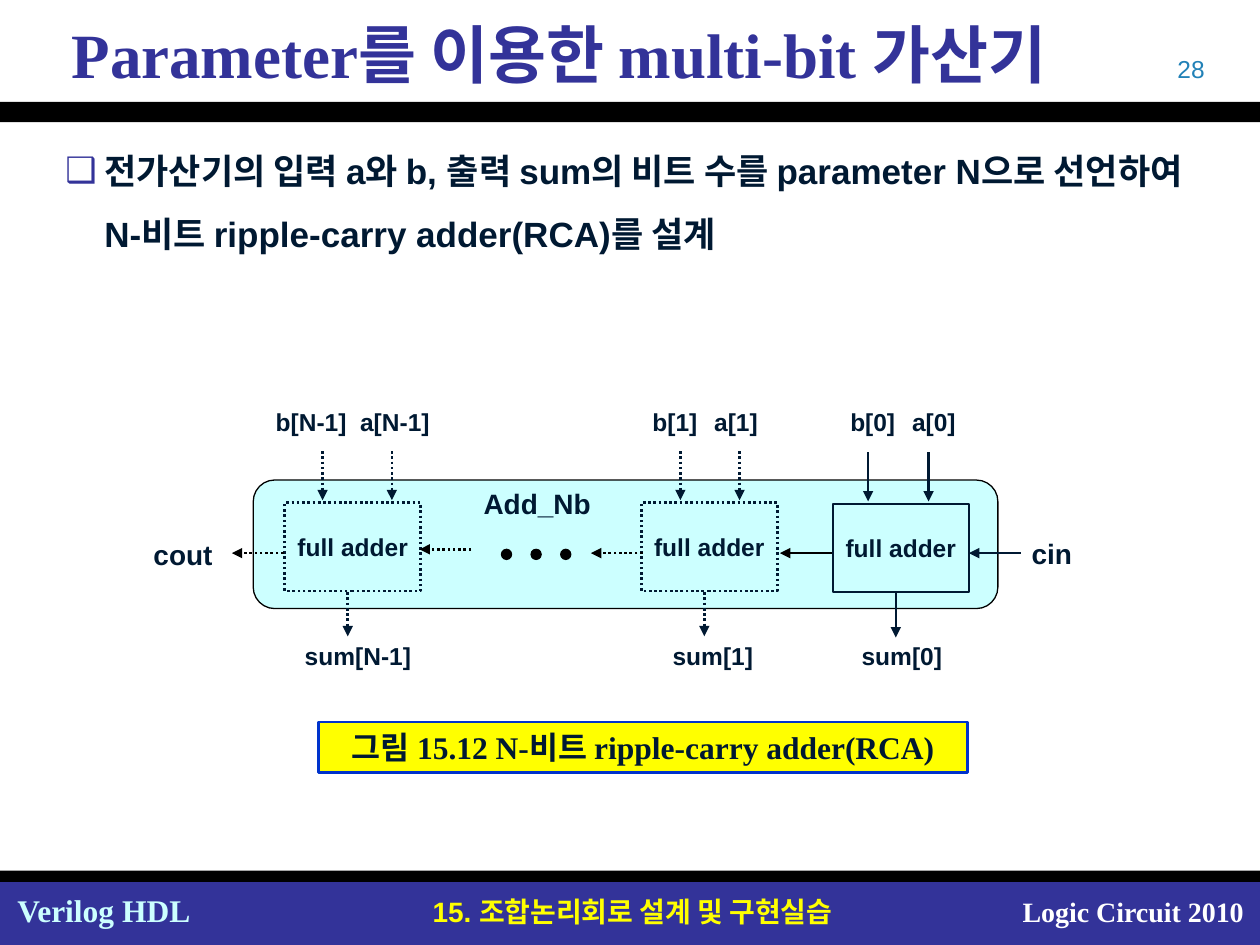
import pptx
import pptx.util
import pptx.dml.color
import pptx.enum.dml
import pptx.enum.shapes
import pptx.enum.text
import pptx.oxml
import pptx.oxml.ns

Inches = pptx.util.Inches
RGBColor = pptx.dml.color.RGBColor
SHAPE = pptx.enum.shapes.MSO_SHAPE
ALIGN = pptx.enum.text.PP_ALIGN
ANCHOR = pptx.enum.text.MSO_ANCHOR
DOTTED = pptx.enum.dml.MSO_LINE.ROUND_DOT

INDIGO = RGBColor(0x33, 0x33, 0x99)
NAVY = RGBColor(0x00, 0x19, 0x32)
BLACK = RGBColor(0, 0, 0)
WHITE = RGBColor(0xFF, 0xFF, 0xFF)
YELLOW = RGBColor(0xFF, 0xFF, 0)
PALE_CYAN = RGBColor(0xCC, 0xFF, 0xFF)
PAGE_BLUE = RGBColor(0x21, 0x81, 0xB7)
CAPTION_BLUE = RGBColor(0, 0x33, 0xCC)

SANS = "Arial"
SERIF = "Times New Roman"
ADDER_WIDTH, ADDER_HEIGHT = 1.08, 0.7
LABEL_WIDTH, LABEL_HEIGHT = 1.2, 0.35


def write(shape, text, size, color=NAVY, font=SANS, bold=True,
          align=ALIGN.LEFT, anchor=ANCHOR.TOP, wrap=True):
    frame = shape.text_frame
    frame_format = {"word_wrap": wrap, "vertical_anchor": anchor}
    for name, value in frame_format.items():
        setattr(frame, name, value)
    paragraph = frame.paragraphs[0]
    paragraph.alignment = align
    run = paragraph.add_run()
    run.text = text
    font_format = {"name": font, "size": pptx.util.Pt(size), "bold": bold}
    for name, value in font_format.items():
        setattr(run.font, name, value)
    run.font.color.rgb = color
    return paragraph


def add_text(shapes, box, text, size, **style):
    label = shapes.add_textbox(*map(Inches, box))
    return label, write(label, text, size, **style)


def add_label(shapes, left, top, text, size=14):
    add_text(shapes, (left, top, LABEL_WIDTH, LABEL_HEIGHT), text, size)


def add_block(shapes, kind, box, fill=None, line=None, width=1.5, dash=None):
    block = shapes.add_shape(kind, *map(Inches, box))
    block.shadow.inherit = False
    if fill is None:
        block.fill.background()
    else:
        block.fill.solid()
        block.fill.fore_color.rgb = fill
    if line is None:
        block.line.fill.background()
    else:
        style_line(block.line, line, width, dash)
    return block


def style_line(line, color, width, dash):
    line.color.rgb = color
    for name, value in {"width": pptx.util.Pt(width), "dash_style": dash}.items():
        setattr(line, name, value)


def add_arrow(shapes, start, end, color=NAVY, dash=None):
    arrow = shapes.add_connector(pptx.enum.shapes.MSO_CONNECTOR.STRAIGHT,
                                 *map(Inches, start + end))
    style_line(arrow.line, color, 1.5, dash)
    namespace = pptx.oxml.ns.nsdecls("a")
    arrow.line._get_or_add_ln().append(
        pptx.oxml.parse_xml(f'<a:tailEnd {namespace} type="triangle"/>'))
    arrow._element.spPr.append(pptx.oxml.parse_xml(f"<a:effectLst {namespace}/>"))


def add_header(shapes, left, top, width):
    add_block(shapes, SHAPE.RECTANGLE, (left, top + 0.81, width, 0.16), BLACK)
    add_text(shapes, (left + 7.33, top + 0.38, 2.33, 0.33), "28", 14,
             color=PAGE_BLUE, bold=False, align=ALIGN.RIGHT)
    _, title = add_text(shapes, (left + 0.17, top + 0.1, 9.67, 0.65),
                        "Parameter를 이용한 multi-bit 가산기", 36, color=INDIGO,
                        font=SERIF, anchor=ANCHOR.MIDDLE)
    title._p.get_or_add_pPr().set("marL", str(Inches(0.3)))


def add_footer(shapes, left, top, width):
    add_block(shapes, SHAPE.RECTANGLE, (left, top + 0.09, width, 0.5), INDIGO)
    add_block(shapes, SHAPE.RECTANGLE, (left, top, width, 0.09), BLACK)
    add_text(shapes, (left + 3.07, top + 0.14, 3.9, 0.37),
             "15. 조합논리회로 설계 및 구현실습", 16, color=YELLOW, align=ALIGN.CENTER)
    add_text(shapes, (left + 7.88, top + 0.14, 2.09, 0.37), "Logic Circuit 2010",
             16, color=WHITE, font=SERIF, align=ALIGN.RIGHT)
    course, _ = add_text(shapes, (left + 0.04, top + 0.11, 1.58, 0.4),
                         "Verilog HDL", 18, color=PALE_CYAN, font=SERIF)
    course.text_frame.margin_right = Inches(0.02)


def add_body(shapes, box):
    _, task = add_text(
        shapes, box,
        "전가산기의 입력 a와 b, 출력 sum의 비트 수를 parameter N으로 "
        "선언하여 N-비트 ripple-carry adder(RCA)를 설계", 20)
    task.line_spacing = 1.5
    properties = task._p.get_or_add_pPr()
    properties.set("marL", str(Inches(0.31)))
    properties.set("indent", str(-Inches(0.31)))
    namespace = pptx.oxml.ns.nsdecls("a")
    for bullet in (f'<a:buClr {namespace}><a:srgbClr val="{INDIGO}"/></a:buClr>',
                   f'<a:buFont {namespace} typeface="{SANS}"/>',
                   f'<a:buChar {namespace} char="❑"/>'):
        properties.append(pptx.oxml.parse_xml(bullet))


def add_full_adder(shapes, left, top, bit, pins, labels, dash):
    """Place one stage; pins (b, a) and labels (b, a, sum) are offsets from left."""
    stage = add_block(shapes, SHAPE.RECTANGLE, (left, top, ADDER_WIDTH, ADDER_HEIGHT),
                      line=NAVY, dash=dash)
    write(stage, "full adder", 14, align=ALIGN.CENTER, anchor=ANCHOR.MIDDLE, wrap=False)
    for pin in pins:
        add_arrow(shapes, (left + pin, top - 0.41), (left + pin, top - 0.02), dash=dash)
    bottom = top + ADDER_HEIGHT
    add_arrow(shapes, (left + 0.5, bottom + 0.01), (left + 0.5, bottom + 0.36), dash=dash)
    for signal, offset, label_top in zip(("b", "a", "sum"), labels, (3.18, 3.18, 5.04)):
        add_label(shapes, left + offset, label_top, f"{signal}[{bit}]")


def add_adder_chain(shapes, box):
    left, top, width, height = box
    chain = shapes.add_group_shape().shapes
    module = add_block(chain, SHAPE.ROUNDED_RECTANGLE, box, PALE_CYAN, BLACK, 0.75)
    module.adjustments[0] = 0.167

    stages = (
        (2.26, 3.99, "N-1", (0.3, 0.85), (-0.17, 0.5, 0.06), DOTTED),
        (5.09, 3.99, "1", (0.31, 0.78), (-0.01, 0.48, 0.15), DOTTED),
        (6.61, 4, "0", (0.28, 0.76), (0.04, 0.53, 0.13), None),
    )
    for stage in stages:
        add_full_adder(chain, *stage)

    carry = top + 0.58
    carries = (
        (8.1, carry, NAVY, None),
        (6.6, carry, BLACK, None),
        (5.1, carry, BLACK, DOTTED),
        (3.74, carry - 0.03, BLACK, DOTTED),
        (2.25, carry, BLACK, DOTTED),
    )
    for start, level, color, dash in carries:
        add_arrow(chain, (start, level), (start - 0.41, level), color, dash)
    for step in range(3):
        add_block(chain, SHAPE.OVAL, (3.98 + 0.235 * step, 4.36, 0.08, 0.08),
                  BLACK, BLACK, 0.75)

    add_label(chain, left - 0.89, top + 0.41, "cout", 16)
    add_label(chain, left + width + 0.17, top + 0.4, "cin", 16)
    add_label(chain, left + 1.73, top, "Add_Nb", 16)


def add_caption(shapes, box):
    caption = add_block(shapes, SHAPE.RECTANGLE, box, YELLOW, CAPTION_BLUE)
    write(caption, "그림 15.12 N-비트 ripple-carry adder(RCA)", 18, font=SERIF,
          align=ALIGN.CENTER, anchor=ANCHOR.MIDDLE)


def main():
    deck = pptx.Presentation()
    deck.slide_width, deck.slide_height = Inches(10), Inches(7.5)
    shapes = deck.slides.add_slide(deck.slide_layouts[6]).shapes
    add_footer(shapes, 0, 6.91, 10)
    add_header(shapes, 0, 0, 10)
    add_body(shapes, (0.42, 0.97, 9.25, 1.36))
    add_adder_chain(shapes, (2.01, 3.81, 5.91, 1.02))
    add_caption(shapes, (2.53, 5.73, 5.15, 0.4))
    deck.save("out.pptx")


if __name__ == "__main__":
    main()
